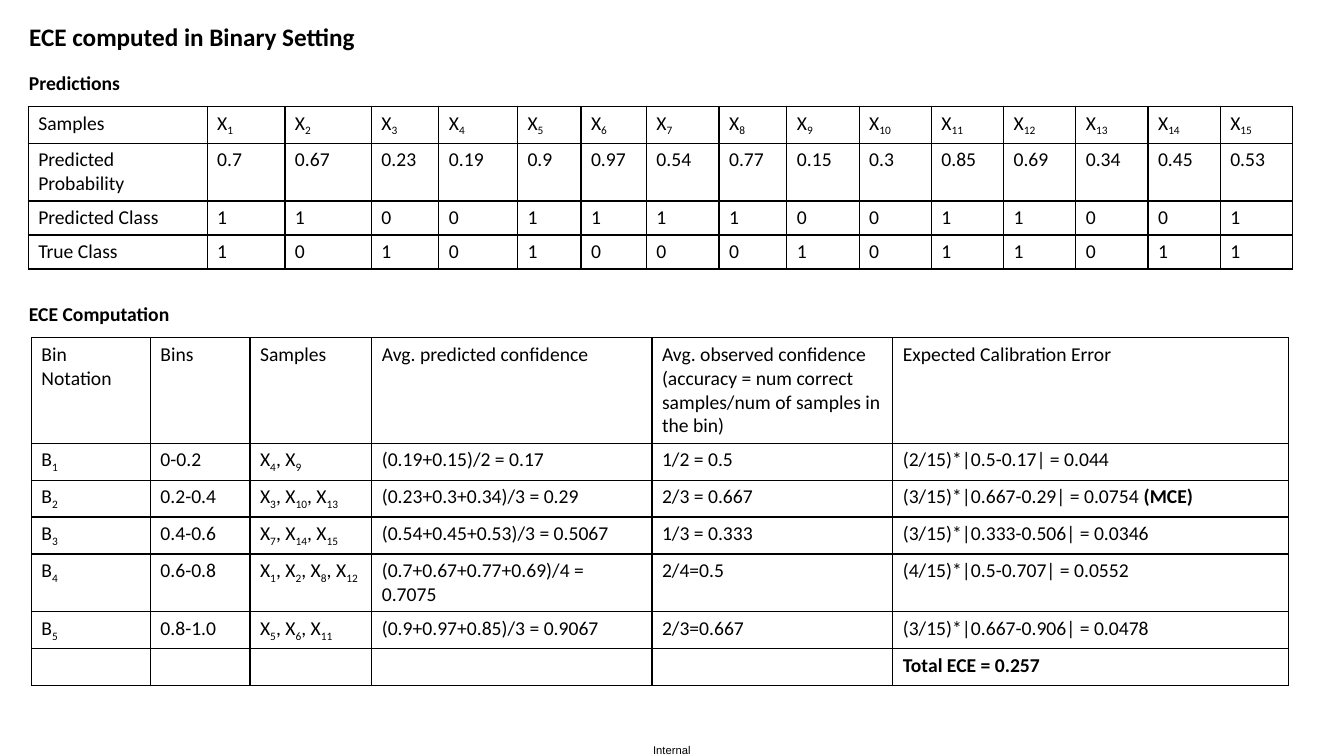
from lxml.etree import SubElement
from pptx import Presentation
from pptx.dml.color import RGBColor
from pptx.enum.text import MSO_ANCHOR, MSO_AUTO_SIZE, PP_ALIGN
from pptx.oxml.ns import qn
from pptx.util import Cm, Pt

COLORS = {"text": "000000", "border": "000000"}
BODY = {"name": "Calibri", "size": Pt(14), "bold": False}
HEADING = BODY | {"bold": True}
TITLE = HEADING | {"size": Pt(18)}
FOOTER = {"name": "Arial", "size": Pt(8), "bold": False}
BORDER_WIDTH = Pt(1)

# Between underscores: subscript. Between double asterisks: bold.
PREDICTIONS = [
    ["Samples"] + [f"X_{number}_" for number in range(1, 16)],
    ["Predicted Probability"]
    + "0.7 0.67 0.23 0.19 0.9 0.97 0.54 0.77 0.15 0.3 0.85 0.69 0.34 0.45 0.53".split(),
    ["Predicted Class", *"110011110011001"],
    ["True Class", *"101010001011011"],
]
PREDICTION_COLUMNS = [4.51, 1.96, 2.18, 1.7, 1.98, 1.6, 1.65, 1.83, 1.71] + [1.82] * 7
PREDICTION_ROWS = [0.93, 1.44, 0.85, 0.85]

COMPUTATION = [
    ["Bin Notation", "Bins", "Samples", "Avg. predicted confidence",
     "Avg. observed confidence (accuracy = num correct samples/num of samples in the bin)",
     "Expected Calibration Error"],
    ["B_1_", "0-0.2", "X_4_, X_9_", "(0.19+0.15)/2 = 0.17", "1/2 = 0.5",
     "(2/15)*|0.5-0.17| = 0.044"],
    ["B_2_", "0.2-0.4", "X_3_, X_10_, X_13_", "(0.23+0.3+0.34)/3 = 0.29", "2/3 = 0.667",
     "(3/15)*|0.667-0.29| = 0.0754 **(MCE)**"],
    ["B_3_", "0.4-0.6", "X_7_, X_14_, X_15_", "(0.54+0.45+0.53)/3 = 0.5067", "1/3 = 0.333",
     "(3/15)*|0.333-0.506| = 0.0346"],
    ["B_4_", "0.6-0.8", "X_1_, X_2_, X_8_, X_12_", "(0.7+0.67+0.77+0.69)/4 = 0.7075",
     "2/4=0.5", "(4/15)*|0.5-0.707| = 0.0552"],
    ["B_5_", "0.8-1.0", "X_5_, X_6_, X_11_", "(0.9+0.97+0.85)/3 = 0.9067", "2/3=0.667",
     "(3/15)*|0.667-0.906| = 0.0478"],
    [""] * 5 + ["**Total ECE = 0.257**"],
]
COMPUTATION_COLUMNS = [3, 2.51, 3.07, 7.06, 6.07, 9.98]
COMPUTATION_ROWS = [2.64, 0.93, 0.93, 0.93, 1.44, 0.93, 0.93]


def format_font(font, values):
    for attribute, value in values.items():
        setattr(font, attribute, value)
    font.color.rgb = RGBColor.from_string(COLORS["text"])


def write_marked_text(paragraph, marked):
    """Write text with subscript and bold marks as formatted runs."""
    for bold_index, section in enumerate(marked.split("**")):
        for sub_index, part in enumerate(section.split("_")):
            if not part:
                continue
            run = paragraph.add_run()
            run.text = part
            format_font(run.font, BODY | {"bold": bold_index % 2 == 1})
            if sub_index % 2:
                run.font._rPr.set("baseline", "-25000")
    if not marked:
        SubElement(paragraph._p, qn("a:endParaRPr"), sz=str(int(BODY["size"].pt * 100)))


def add_borders(cell):
    properties = cell._tc.get_or_add_tcPr()
    for side in ("lnL", "lnR", "lnT", "lnB"):
        line = SubElement(properties, qn(f"a:{side}"), w=str(BORDER_WIDTH))
        fill = SubElement(line, qn("a:solidFill"))
        SubElement(fill, qn("a:srgbClr"), val=COLORS["border"])


def add_grid(slide, left, top, contents, widths, heights):
    frame = slide.shapes.add_table(
        len(heights), len(widths), Cm(left), Cm(top), Cm(sum(widths)), Cm(sum(heights)))
    grid = frame.table
    grid.first_row = grid.horz_banding = False
    for column, width in zip(grid.columns, widths):
        column.width = Cm(width)
    for row, height, texts in zip(grid.rows, heights, contents):
        row.height = Cm(height)
        for cell, text in zip(row.cells, texts):
            write_marked_text(cell.text_frame.paragraphs[0], text)
            add_borders(cell)
            cell.fill.background()


def fill_label(label, text, values):
    frame = label.text_frame
    frame.word_wrap = True
    frame.auto_size = MSO_AUTO_SIZE.NONE
    frame.vertical_anchor = MSO_ANCHOR.TOP
    paragraph = frame.paragraphs[0]
    paragraph.alignment = PP_ALIGN.LEFT
    run = paragraph.add_run()
    run.text = text
    format_font(run.font, values)


def add_title(slide, text):
    title = slide.shapes.title
    title.left, title.top, title.width, title.height = Cm(0.48), Cm(0.41), Cm(12.45), Cm(1.02)
    fill_label(title, text, TITLE)
    title.text_frame.paragraphs[0].line_spacing = 1.0


def add_heading(slide, text, top, width):
    heading = slide.shapes.add_textbox(Cm(0.48), Cm(top), Cm(width), Cm(0.86))
    fill_label(heading, text, HEADING)


def add_footer(slide, text):
    footer = slide.shapes.add_textbox(Cm(16.46), Cm(18.72), Cm(1.02), Cm(0.33))
    fill_label(footer, text, FOOTER)
    frame = footer.text_frame
    frame.margin_left = frame.margin_right = frame.margin_top = frame.margin_bottom = 0


def main():
    deck = Presentation()
    deck.slide_width, deck.slide_height = Cm(33.87), Cm(19.05)
    slide = deck.slides.add_slide(deck.slide_layouts.get_by_name("Title Only"))
    add_title(slide, "ECE computed in Binary Setting")
    add_heading(slide, "Predictions", 1.65, 6.38)
    add_grid(slide, 0.71, 2.68, PREDICTIONS, PREDICTION_COLUMNS, PREDICTION_ROWS)
    add_heading(slide, "ECE Computation", 7.49, 8.64)
    add_grid(slide, 0.79, 8.51, COMPUTATION, COMPUTATION_COLUMNS, COMPUTATION_ROWS)
    add_footer(slide, "Internal")
    deck.save("out.pptx")


if __name__ == "__main__":
    main()
